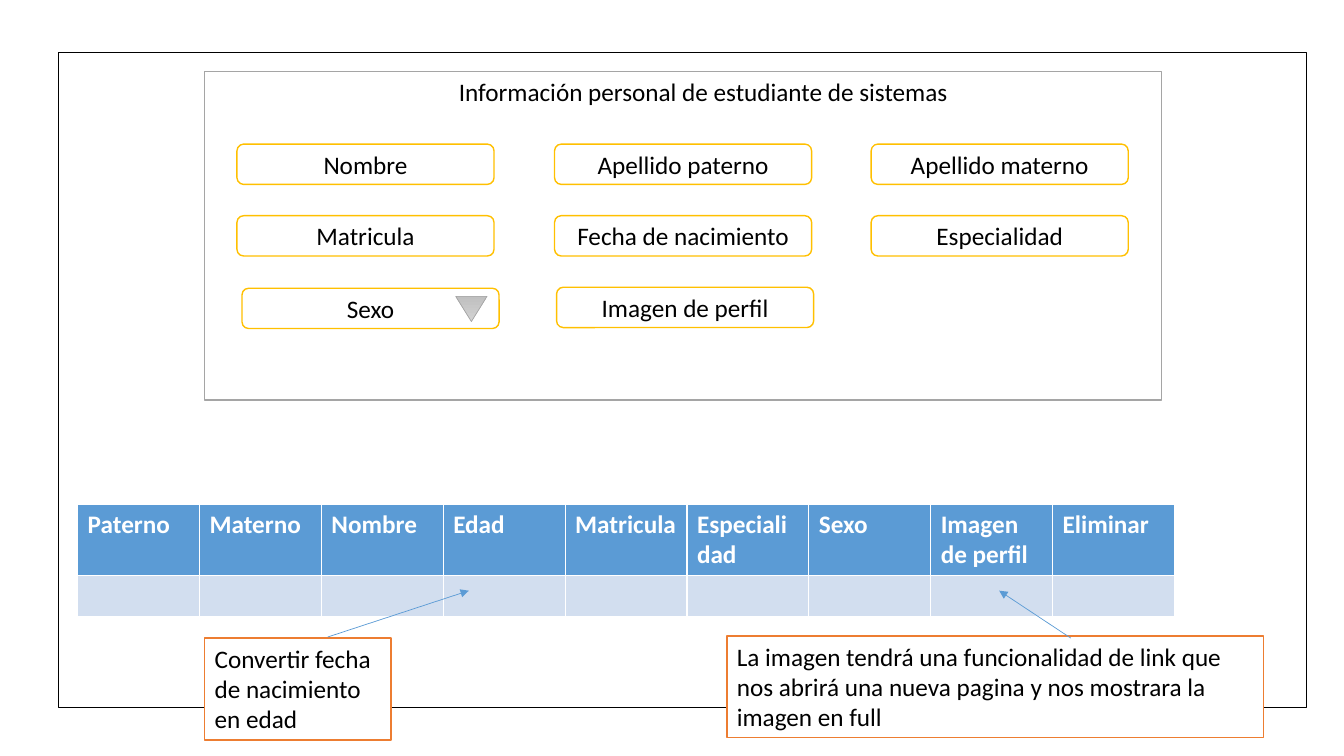
from pptx import Presentation
from pptx.dml.color import RGBColor
from pptx.enum import shapes, text
from pptx.oxml.ns import qn
from pptx.util import Inches, Pt
from lxml import etree

HUES = {"ink": "000000", "paper": "FFFFFF", "gray": "A5A5A5", "gold": "FFC000",
        "note": "ED7D31", "blue": "5B9BD5", "pale": "D2DEEF",
        "light": "D2D2D2", "dark": "C0C0C0"}
FONT = {"name": "Calibri", "size": Pt(18), "bold": False}
LEFT = {"alignment": text.PP_ALIGN.LEFT}
MID = {"alignment": text.PP_ALIGN.CENTER}
TOP = {"word_wrap": True, "auto_size": text.MSO_AUTO_SIZE.NONE,
       "vertical_anchor": text.MSO_ANCHOR.TOP}
CENTER = {**TOP, "vertical_anchor": text.MSO_ANCHOR.MIDDLE}
KIND = shapes.MSO_SHAPE

FIELDS = [
    ("Nombre", 2.35, 1.43), ("Apellido paterno", 5.5, 1.43),
    ("Apellido materno", 8.64, 1.43),
    ("Matricula", 2.35, 2.14), ("Fecha de nacimiento", 5.5, 2.14),
    ("Especialidad", 8.64, 2.14),
    ("Sexo", 2.4, 2.86), ("Imagen de perfil", 5.52, 2.85),
]
HEADS = ["Paterno", "Materno", "Nombre", "Edad", "Matricula", "Especialidad",
         "Sexo", "Imagen de perfil", "Eliminar"]


def hue(name):
    return RGBColor.from_string(HUES[name])


def apply(item, values):
    for key, value in values.items():
        setattr(item, key, value)


def write(frame, words, layout=TOP, align=LEFT, color="ink", **extra):
    frame.text = words
    apply(frame, layout)
    para = frame.paragraphs[0]
    apply(para, align)
    font = para.runs[0].font
    apply(font, {**FONT, **extra})
    font.color.rgb = hue(color)


def box(slide, kind, place, line, width=1):
    shape = slide.shapes.add_shape(kind, *map(Inches, place))
    shape.shadow.inherit = False
    shape.fill.solid()
    shape.fill.fore_color.rgb = hue("paper")
    shape.line.color.rgb = hue(line)
    shape.line.width = Pt(width)
    return shape


def title(slide, words, place):
    head = slide.shapes.title
    apply(head, dict(zip(("left", "top", "width", "height"), map(Inches, place))))
    write(head.text_frame, words)
    # Bring the heading in front of the frames
    head.element.getparent().append(head.element)


def field(slide, words, left, top):
    shape = box(slide, KIND.ROUNDED_RECTANGLE, (left, top, 2.55, 0.4), "gold")
    write(shape.text_frame, words, CENTER, MID)


def marker(slide, place):
    shape = box(slide, KIND.ISOSCELES_TRIANGLE, place, "gray", 0.5)
    shape.rotation = 180
    shape.fill.gradient()
    shape.fill.gradient_angle = 270
    for stop, name in zip(shape.fill.gradient_stops, ("light", "dark")):
        stop.color.rgb = hue(name)


def grid(slide, heads, place, rows):
    table = slide.shapes.add_table(len(rows), len(heads), *map(Inches, place)).table
    for row, height in zip(table.rows, rows):
        row.height = Inches(height)
    for col, words in enumerate(heads):
        table.columns[col].width = Inches(place[2] / len(heads))
        for row, name in enumerate(("blue", "pale")):
            cell = table.cell(row, col)
            cell.fill.solid()
            cell.fill.fore_color.rgb = hue(name)
        write(table.cell(0, col).text_frame, words, {}, LEFT, "paper", bold=True)


def note(slide, words, place):
    shape = box(slide, KIND.RECTANGLE, place, "note")
    write(shape.text_frame, words)


def arrow(slide, start, end):
    line = slide.shapes.add_connector(shapes.MSO_CONNECTOR.STRAIGHT,
                                      *map(Inches, start + end))
    line.line.color.rgb = hue("blue")
    line.line.width = Pt(0.5)
    props = line.element.spPr
    etree.SubElement(props.find(qn("a:ln")), qn("a:tailEnd"), type="triangle")
    etree.SubElement(props, qn("a:effectLst"))


def main():
    deck = Presentation()
    apply(deck, {"slide_width": Inches(13.33), "slide_height": Inches(7.5)})
    slide = deck.slides.add_slide(deck.slide_layouts[5])

    # Page and form frames
    box(slide, KIND.RECTANGLE, (0.58, 0.52, 12.38, 6.5), "ink")
    box(slide, KIND.RECTANGLE, (2.03, 0.71, 9.49, 3.26), "gray")
    title(slide, "Información personal de estudiante de sistemas",
          (4.45, 0.71, 7.61, 0.4))

    # Form fields
    for words, left, top in FIELDS:
        field(slide, words, left, top)
    marker(slide, (4.52, 2.94, 0.31, 0.25))

    # Student table
    grid(slide, HEADS, (0.77, 5, 10.88, 1.11), (0.7, 0.41))

    # Notes and their arrows
    note(slide, "Convertir fecha de nacimiento en edad", (2.03, 6.33, 1.85, 1.01))
    arrow(slide, (3.25, 6.32), (4.65, 5.86))
    note(slide, "La imagen tendrá una funcionalidad de link que nos abrirá una "
         "nueva pagina y nos mostrara la imagen en full", (7.21, 6.31, 5.32, 1.01))
    arrow(slide, (10.62, 6.33), (9.91, 5.86))

    deck.save("out.pptx")


main()
